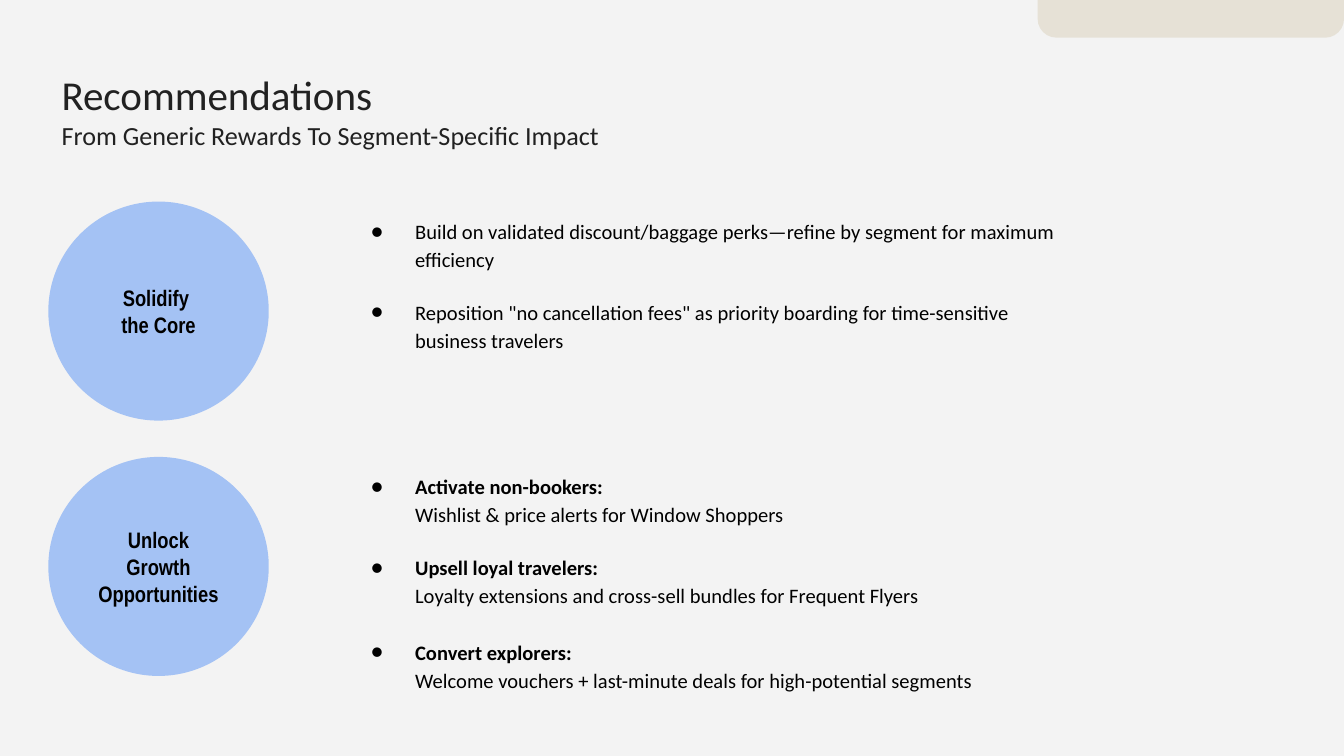
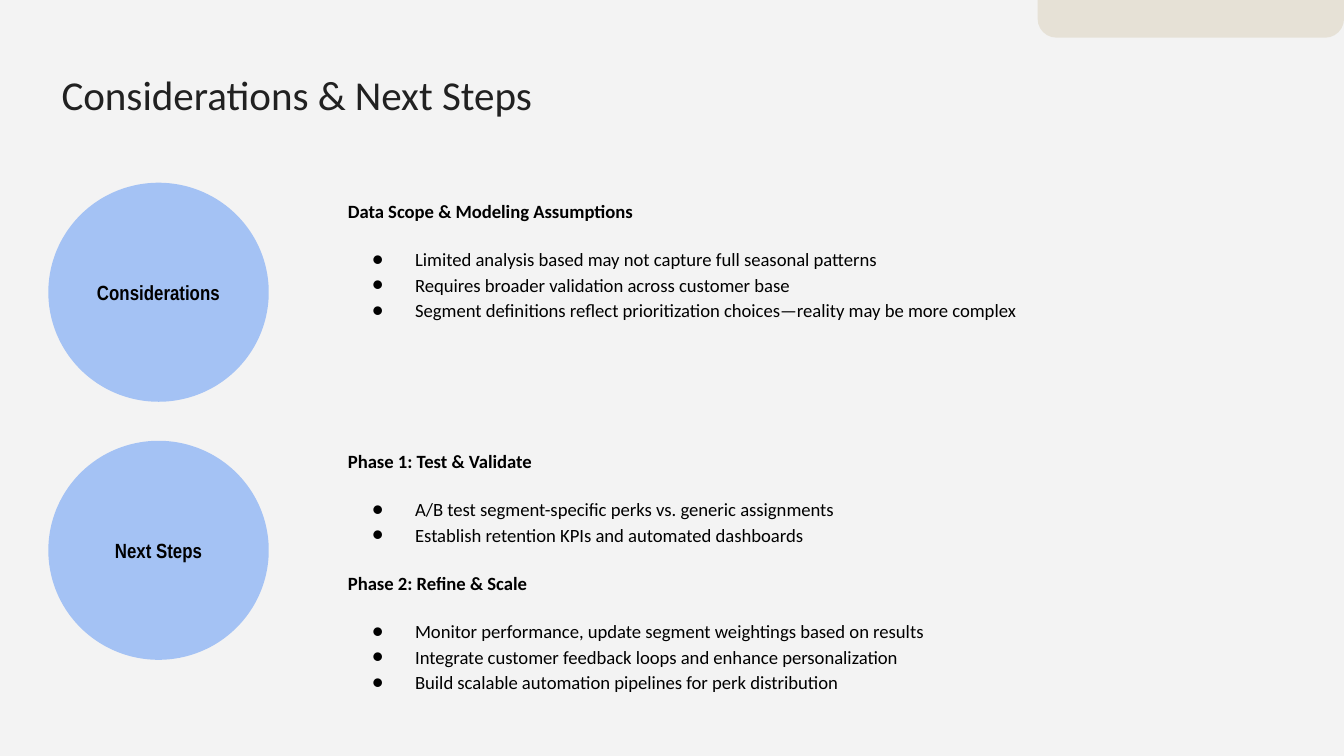
from lxml import etree
from pptx import Presentation, util as u
from pptx.dml.color import RGBColor
from pptx.enum import shapes, text
from pptx.oxml.ns import qn

COLORS = {
    "background": "F3F3F3",
    "tab": "E6E1D6",
    "circle": "A4C2F4",
    "title": "212121",
    "body": "000000",
}
BODY_FONT, LABEL_FONT = "Calibri", "Arial Narrow"
LEFT, BODY_LEFT, BODY_WIDTH = 0.36, 2.49, 5.68


def color(name):
    return RGBColor.from_string(COLORS[name])


class SlideBuilder:
    def __init__(self):
        self.deck = Presentation()
        self.deck.slide_width, self.deck.slide_height = u.Inches(10), u.Inches(10 * 9 / 16)
        self.slide = None

    def new_slide(self, title, subtitle=None):
        self.slide = self.deck.slides.add_slide(self.deck.slide_layouts[6])
        fill = self.slide.background.fill
        fill.solid()
        fill.fore_color.rgb = color("background")
        tab = self.shape(shapes.MSO_SHAPE.ROUND_2_SAME_RECTANGLE, 7.72, 0, 2.28, 0.28, "tab")
        tab.adjustments[0], tab.adjustments[1] = 0.5, 0
        tab.rotation = 180
        frame = self.frame(self.text_box(LEFT, 0.42, 7.3, 0.62))
        self.paragraph(frame, title, 22, "title")
        if subtitle:
            self.paragraph(frame, subtitle, 14, "title")

    def shape(self, kind, left, top, width, height, fill):
        shape = self.slide.shapes.add_shape(kind, *map(u.Inches, (left, top, width, height)))
        shape.shadow.inherit = False
        shape.fill.solid()
        shape.fill.fore_color.rgb = color(fill)
        shape.line.fill.background()
        return shape

    def text_box(self, left, top, width, height):
        return self.slide.shapes.add_textbox(*map(u.Inches, (left, top, width, height)))

    def frame(self, box, anchor=text.MSO_ANCHOR.TOP):
        frame = box.text_frame
        frame.word_wrap = True
        frame.vertical_anchor = anchor
        frame.margin_left = frame.margin_right = u.Inches(0.1)
        frame.margin_top = frame.margin_bottom = u.Inches(0.1)
        return frame

    def paragraph(self, frame, words="", size=11, fill="body", font=BODY_FONT, bold=False,
                  align=text.PP_ALIGN.LEFT, spacing=None, before=0, hanging=None):
        """Fill the empty first paragraph, or append one; hanging adds a bullet."""
        is_first = not frame.text
        para = frame.paragraphs[0] if is_first else frame.add_paragraph()
        if words:
            para.text = words
        para.alignment = align
        if spacing:
            para.line_spacing = spacing
        if before and not is_first:
            para.space_before = u.Pt(before)
        if hanging:
            self.bullet(para, hanging)
        para.font.size, para.font.name = u.Pt(size), font
        para.font.color.rgb = color(fill)
        para.font.bold = bold
        return para

    def bullet(self, para, hanging):
        props = para._p.get_or_add_pPr()
        props.set("marL", str(u.Inches(0.5)))
        props.set("indent", str(-u.Inches(hanging)))
        tint = etree.SubElement(props, qn("a:buClr"))
        etree.SubElement(tint, qn("a:srgbClr"), val=COLORS["body"])
        etree.SubElement(props, qn("a:buFont"), typeface=BODY_FONT)
        etree.SubElement(props, qn("a:buChar"), char="●")

    def circle(self, top, lines, size):
        circle = self.shape(shapes.MSO_SHAPE.OVAL, LEFT, top, 1.64, 1.63, "circle")
        frame = self.frame(circle, text.MSO_ANCHOR.MIDDLE)
        for line in lines:
            self.paragraph(frame, line, size, font=LABEL_FONT, bold=True,
                           align=text.PP_ALIGN.CENTER)

    def panel(self, top, height):
        """Filled body area; returns its text frame."""
        return self.frame(self.shape(shapes.MSO_SHAPE.RECTANGLE, BODY_LEFT, top,
                                     BODY_WIDTH, height, "background"))

    def body(self, top, height):
        return self.frame(self.text_box(BODY_LEFT, top, BODY_WIDTH, height))

    def lead_bullets(self, frame, items):
        """Spaced bullets of (space before, bold lead or None, words)."""
        for before, lead, words in items:
            para = self.paragraph(frame, spacing=1.15, before=before, hanging=0.33)
            if lead:
                span = para.add_run()
                span.text = lead
                span.font.bold = True
                para.add_line_break()
            para.add_run().text = words

    def headed_bullets(self, frame, groups):
        for heading, items in groups:
            self.paragraph(frame, heading, 10, bold=True, spacing=1.15, before=12)
            for index, item in enumerate(items):
                self.paragraph(frame, item, 10, spacing=1.15, hanging=0.32,
                               before=0 if index else 12)


def recommendations(builder):
    builder.new_slide("Recommendations", "From Generic Rewards To Segment-Specific Impact")
    builder.lead_bullets(builder.panel(1.5, 1.37), [
        (0, None, "Build on validated discount/baggage perks—refine by segment for maximum efficiency"),
        (13, None, 'Reposition "no cancellation fees" as priority boarding for time-sensitive '
                   "business travelers"),
    ])
    builder.circle(1.5, ["Solidify ", "the Core"], 12)
    builder.lead_bullets(builder.body(3.4, 1.28), [
        (0, "Activate non-bookers:", "Wishlist & price alerts for Window Shoppers"),
        (13, "Upsell loyal travelers:",
         "Loyalty extensions and cross-sell bundles for Frequent Flyers"),
        (15, "Convert explorers:",
         "Welcome vouchers + last-minute deals for high-potential segments"),
    ])
    builder.circle(3.4, ["Unlock Growth Opportunities"], 12)


def next_steps(builder):
    builder.new_slide("Considerations & Next Steps")
    builder.headed_bullets(builder.panel(1.36, 1.88), [
        ("Data Scope & Modeling Assumptions", [
            "Limited analysis based may not capture full seasonal patterns",
            "Requires broader validation across customer base",
            "Segment definitions reflect prioritization choices—reality may be more complex",
        ]),
    ])
    builder.circle(1.36, ["Considerations"], 11)
    builder.headed_bullets(builder.body(3.22, 1.84), [
        ("Phase 1: Test & Validate", [
            "A/B test segment-specific perks vs. generic assignments",
            "Establish retention KPIs and automated dashboards",
        ]),
        ("Phase 2: Refine & Scale", [
            "Monitor performance, update segment weightings based on results",
            "Integrate customer feedback loops and enhance personalization",
            "Build scalable automation pipelines for perk distribution",
        ]),
    ])
    builder.circle(3.28, ["Next Steps"], 11)


def main():
    builder = SlideBuilder()
    recommendations(builder)
    next_steps(builder)
    builder.deck.save("out.pptx")


if __name__ == "__main__":
    main()
